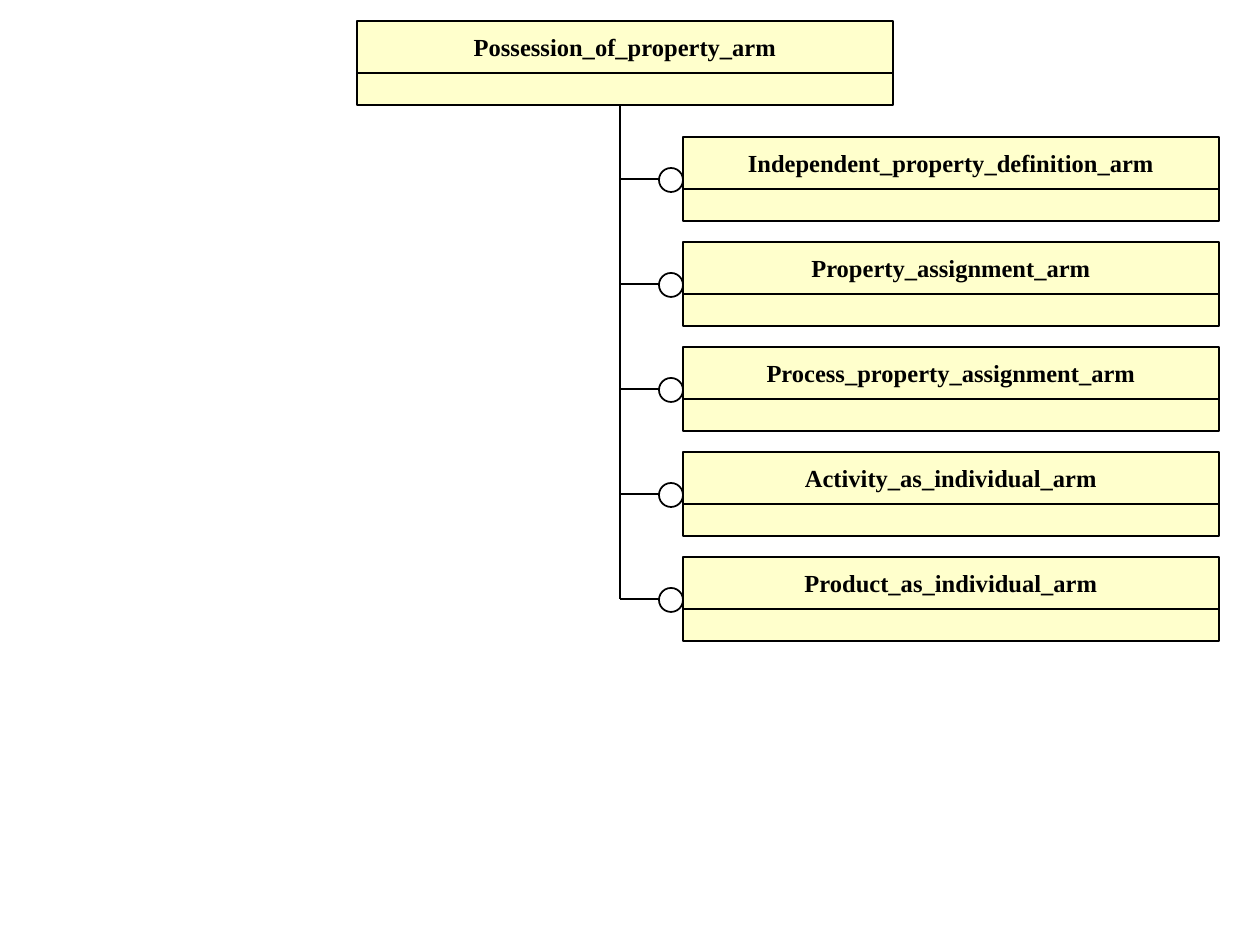
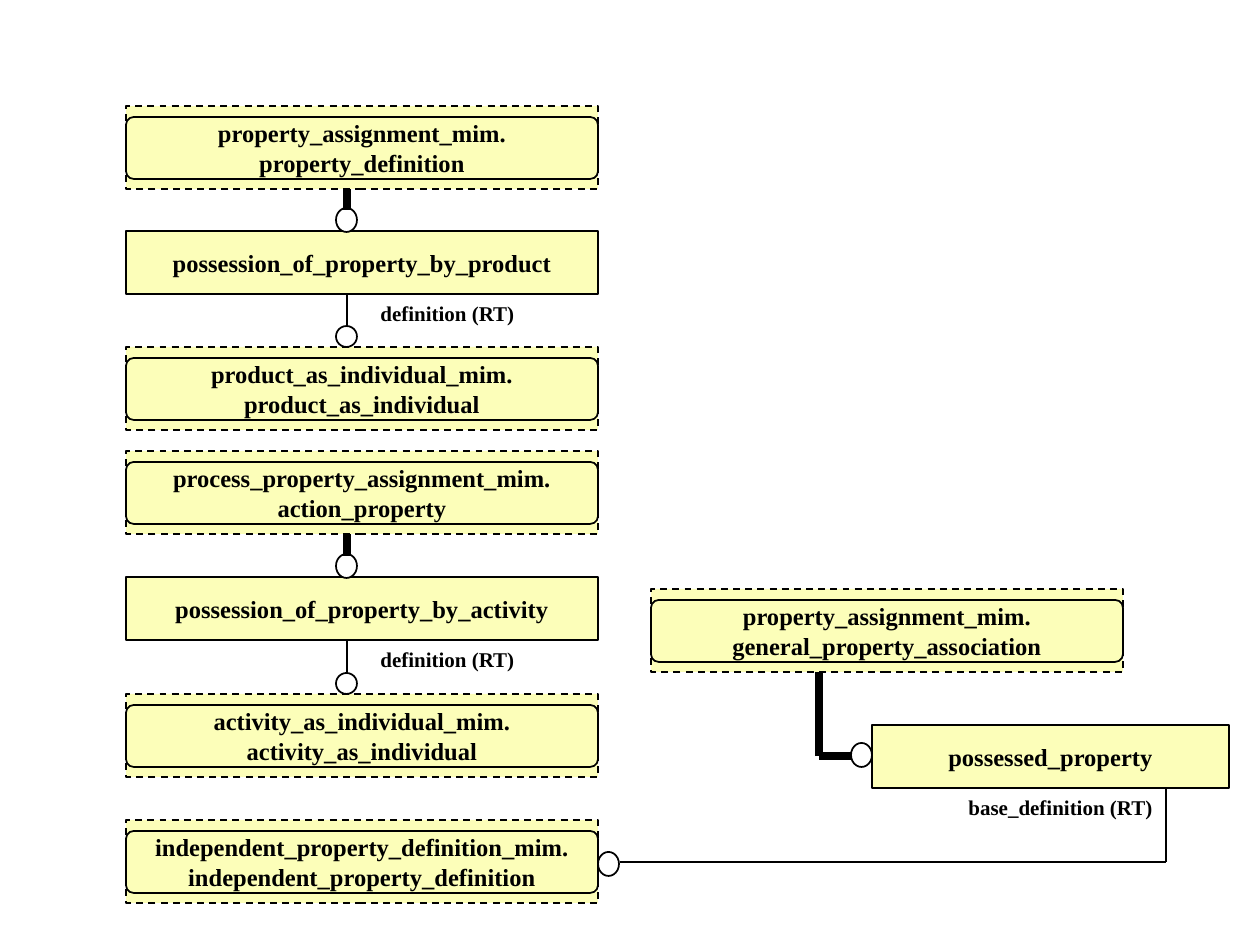
from pptx import Presentation
from pptx.dml.color import RGBColor
from pptx.enum.dml import MSO_LINE
from pptx.enum.shapes import MSO_CONNECTOR, MSO_SHAPE
from pptx.enum.text import MSO_ANCHOR, PP_ALIGN
from pptx.oxml.ns import qn
from pptx.util import Emu, Pt
from lxml import etree

RECT, ROUNDED, OVAL = MSO_SHAPE.RECTANGLE, MSO_SHAPE.ROUNDED_RECTANGLE, MSO_SHAPE.OVAL
STRAIGHT, DASH = MSO_CONNECTOR.STRAIGHT, MSO_LINE.DASH
LEFT, CENTER, RIGHT = PP_ALIGN.LEFT, PP_ALIGN.CENTER, PP_ALIGN.RIGHT
MIDDLE, TOP = MSO_ANCHOR.MIDDLE, MSO_ANCHOR.TOP

PX_PER_INCH = 126
BOX_W = 472


def px(n):
    return Emu(round(n * 914400 / PX_PER_INCH))


def color(value):
    return RGBColor.from_string(value)


class Diagram:
    font = "Times New Roman"
    ink, paper = "000000", "FFFFFF"
    schema_fill, entity_fill = "FFFFCC", "FCFEB9"

    def __init__(self, prs):
        self.prs = prs
        self.s = None

    def new_slide(self):
        self.s = self.prs.slides.add_slide(self.prs.slide_layouts[6])

    def set_text(self, sp, text, size, align, anchor, wrap):
        tf = sp.text_frame
        tf.text = text
        tf.word_wrap = wrap
        tf.vertical_anchor = anchor
        for p in tf.paragraphs:
            p.alignment = align
            for r in p.runs:
                r.font.name, r.font.size, r.font.bold = self.font, Pt(size), True
                r.font.color.rgb = color(self.ink)

    def shape(self, kind, x, y, w, h, fill=None, weight=1, text=None):
        sp = self.s.shapes.add_shape(kind, px(x), px(y), px(w), px(h))
        sp.shadow.inherit = False
        if fill:
            sp.fill.solid()
            sp.fill.fore_color.rgb = color(fill)
        else:
            sp.fill.background()
        sp.line.color.rgb = color(self.ink)
        sp.line.width = Pt(weight)
        if text:
            self.set_text(sp, text, 14, CENTER, MIDDLE, False)
        return sp

    def line(self, x1, y1, x2, y2, weight=1):
        c = self.s.shapes.add_connector(STRAIGHT, px(x1), px(y1), px(x2), px(y2))
        c.line.color.rgb = color(self.ink)
        c.line.width = Pt(weight)
        etree.SubElement(c._element.spPr, qn("a:effectLst"))

    def circle(self, x, y, w=21, h=24):
        self.shape(OVAL, x, y, w, h, self.paper)

    def label(self, text, x, y, align=LEFT):
        sp = self.s.shapes.add_textbox(px(x), px(y), px(209), px(38))
        self.set_text(sp, text, 12, align, TOP, True)

    def schema(self, name, x, y):
        """Name bar above an empty compartment."""
        self.shape(RECT, x, y, 536, 52, self.schema_fill, 0.75, name)
        self.shape(RECT, x, y + 52, 536, 32, self.schema_fill, 0.75)

    def entity(self, name, x, y, w=BOX_W):
        self.shape(RECT, x, y, w, 63, self.entity_fill, text=name)

    def external(self, schema, name, x, y):
        """Dashed box around a rounded frame: an entity of another schema."""
        sp = self.shape(RECT, x, y, BOX_W, 83, self.entity_fill, text=f"{schema}.\n{name}")
        sp.line.dash_style = DASH
        sp = self.shape(ROUNDED, x, y + 11, BOX_W, 62)
        sp.adjustments[0] = 0.125


def schema_slide(d):
    d.new_slide()
    trunk_x, child_x, first_y, step = 620, 683, 137, 105
    children = ["Independent_property_definition_arm", "Property_assignment_arm",
                "Process_property_assignment_arm", "Activity_as_individual_arm",
                "Product_as_individual_arm"]

    # Parent schema and trunk
    d.schema("Possession_of_property_arm", 357, 21)
    d.line(trunk_x, first_y + 42 + step * (len(children) - 1), trunk_x, 105, 0.75)

    # Referenced schemas, one branch each
    for i, name in enumerate(children):
        y = first_y + step * i
        d.schema(name, child_x, y)
        d.line(trunk_x, y + 42, 662, y + 42, 0.75)
        d.circle(child_x - 24, y + 31, 24, 24)


def entity_slide(d):
    d.new_slide()
    left, link_x, thick = 126, 347, 4.5

    # Left column: supertype, subtype and its definition
    chains = [
        (106, "property_assignment_mim", "property_definition",
         231, "possession_of_property_by_product",
         347, "product_as_individual_mim", "product_as_individual"),
        (451, "process_property_assignment_mim", "action_property",
         577, "possession_of_property_by_activity",
         694, "activity_as_individual_mim", "activity_as_individual"),
    ]
    for super_y, super_schema, supertype, sub_y, subtype, def_y, def_schema, definition in chains:
        d.external(super_schema, supertype, left, super_y)
        d.entity(subtype, left, sub_y)
        d.external(def_schema, definition, left, def_y)
        d.circle(link_x - 11, sub_y - 23)
        d.line(link_x, sub_y - 21, link_x, super_y + 83, thick)
        d.circle(link_x - 11, def_y - 21, h=21)
        d.line(link_x, def_y - 21, link_x, sub_y + 63)
        d.label("definition (RT)", 368, sub_y + 63)

    # Right side: possessed property under its supertype
    d.external("property_assignment_mim", "general_property_association", 651, 589)
    d.entity("possessed_property", 872, 725, 357)
    d.circle(851, 743)
    d.line(819, 756, 851, 756, thick)
    d.line(819, 756, 819, 672, thick)

    # Base definition link
    d.external("independent_property_definition_mim", "independent_property_definition",
               left, 820)
    d.circle(left + BOX_W, 852)
    d.line(620, 862, 1166, 862)
    d.line(1166, 862, 1166, 788)
    d.label("base_definition (RT)", 956, 788, RIGHT)


def main():
    prs = Presentation()
    prs.slide_width, prs.slide_height = px(1260), px(945)
    d = Diagram(prs)
    schema_slide(d)
    entity_slide(d)
    prs.save("out.pptx")


if __name__ == "__main__":
    main()
